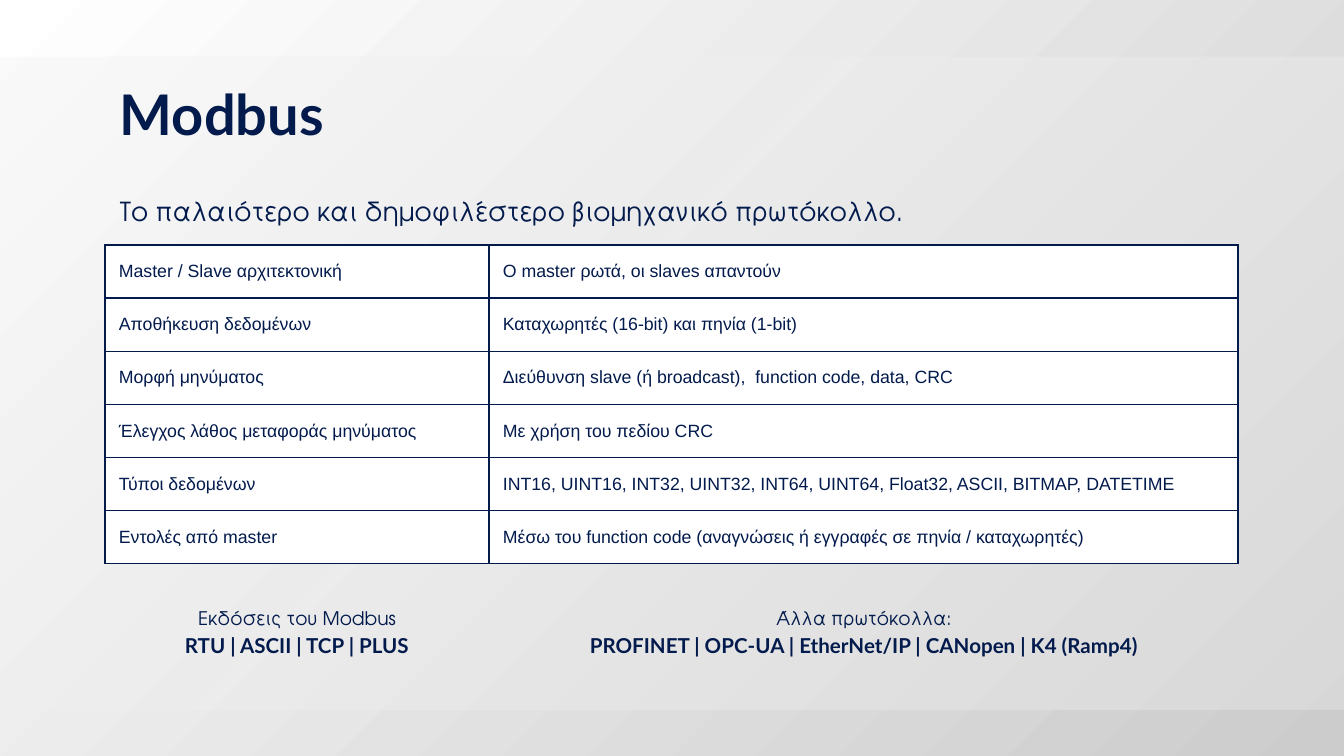
from lxml.etree import SubElement
from pptx import Presentation
from pptx.dml.color import RGBColor
from pptx.enum.shapes import MSO_SHAPE as Shape
from pptx.enum.text import MSO_ANCHOR as Anchor, PP_ALIGN as Align
from pptx.oxml import parse_xml
from pptx.oxml.ns import nsdecls, qn
from pptx.util import Emu, Pt

EMU_PER_PX = 9144000 / 1344
COLORS = {"navy": "021A4C", "white": "FFFFFF", "light": "D9D9D9", "grey": "CCCCCC"}
HEADING, BODY, CELL = "Lato", "TeX Gyre Adventor", "Arial"
INSET = 14

FEATURES = [
    ("Master / Slave αρχιτεκτονική", "Ο master ρωτά, οι slaves απαντούν"),
    ("Αποθήκευση δεδομένων", "Καταχωρητές (16-bit) και πηνία (1-bit)"),
    ("Moρφή μηνύματος", "Διεύθυνση slave (ή broadcast),  function code, data, CRC"),
    ("Έλεγχος λάθος μεταφοράς μηνύματος", "Με χρήση του πεδίου CRC"),
    ("Τύποι δεδομένων",
     "INT16, UINT16, INT32, UINT32, INT64, UINT64, Float32, ASCII, BITMAP, DATETIME"),
    ("Εντολές από master",
     "Μέσω του function code (αναγνώσεις ή εγγραφές σε πηνία / καταχωρητές)"),
]


def px(length):
    return Emu(round(length * EMU_PER_PX))


def rgb(name):
    return RGBColor.from_string(COLORS[name])


def write(paragraph, text, font=BODY, size=10, bold=False, color="navy"):
    run = paragraph.add_run()
    run.text = text
    run.font.name, run.font.size, run.font.bold = font, Pt(size), bold
    run.font.color.rgb = rgb(color)


def set_gradient(fill, start, end):
    fill.gradient()
    fill.gradient_angle = 315
    for stop, name, position in zip(fill.gradient_stops, (start, end), (0, 1)):
        stop.color.rgb = rgb(name)
        stop.position = position


def add_text_area(slide, box, align=Align.LEFT, spacing=1.0):
    area = slide.shapes.add_textbox(*map(px, box))
    frame = area.text_frame
    frame.word_wrap = True
    frame.margin_left = frame.margin_right = px(INSET)
    frame.margin_top = frame.margin_bottom = px(INSET)
    paragraph = frame.paragraphs[0]
    paragraph.alignment = align
    paragraph.line_spacing = spacing
    return paragraph


def add_backdrop(slide, box):
    set_gradient(slide.background.fill, "white", "grey")
    for start in ("light", "white"):
        veil = slide.shapes.add_shape(Shape.RECTANGLE, *map(px, box))
        veil.shadow.inherit = False
        veil.line.fill.background()
        if start == "white":
            veil.fill.solid()
            veil.fill.fore_color.rgb = rgb(start)
        else:
            set_gradient(veil.fill, start, "white")
        for color in veil._element.spPr.iter(qn("a:srgbClr")):
            SubElement(color, qn("a:alpha"), val="13000")


def add_heading(slide, box):
    left, top, width, _ = box
    title = add_text_area(slide, (left, top, width, 85))
    write(title, "Modbus", font=HEADING, size=30, bold=True)
    summary = add_text_area(slide, (left, top + 111, width, 55), spacing=1.15)
    write(summary, "Το παλαιότερο και δημοφιλέστερο βιομηχανικό πρωτόκολλο.", size=14)


def set_borders(cell):
    properties = cell._tc.get_or_add_tcPr()
    for index, side in enumerate(("lnL", "lnR", "lnT", "lnB")):
        properties.insert(index, parse_xml(
            f'<a:{side} {nsdecls("a")} w="9525"><a:solidFill>'
            f'<a:srgbClr val="{COLORS["navy"]}"/></a:solidFill></a:{side}>'))


def add_features(slide, box, label_width):
    width, height = box[2:]
    table = slide.shapes.add_table(len(FEATURES), 2, *map(px, box)).table
    table.first_row = table.horz_banding = False
    table.columns[0].width = px(label_width)
    table.columns[1].width = px(width - label_width)
    for row, texts in zip(table.rows, FEATURES):
        row.height = px(height / len(FEATURES))
        for cell, text in zip(row.cells, texts):
            cell.fill.solid()
            cell.fill.fore_color.rgb = rgb("white")
            cell.vertical_anchor = Anchor.MIDDLE
            cell.margin_left = cell.margin_right = px(INSET)
            cell.margin_top = cell.margin_bottom = 0
            set_borders(cell)
            write(cell.text_frame.paragraphs[0], text, font=CELL, size=9.5)


def add_protocols(slide, box, caption, names):
    paragraph = add_text_area(slide, box, align=Align.CENTER, spacing=1.15)
    write(paragraph, caption)
    paragraph.add_line_break()
    SubElement(paragraph._p.find(qn("a:br")), qn("a:rPr"), sz="1000")
    write(paragraph, " | ".join(names), font=HEADING, size=11, bold=True)


def main():
    deck = Presentation()
    deck.slide_width, deck.slide_height = px(1344), px(756)
    slide = deck.slides.add_slide(deck.slide_layouts[6])
    add_backdrop(slide, (0, 57, 1344, 653))
    add_heading(slide, (106, 66, 1133, 166))
    add_features(slide, (105, 245, 1133, 319), 384)
    add_protocols(slide, (105, 590, 384, 67), "Eκδόσεις του Modbus",
                  ("RTU", "ASCII", "TCP", "PLUS"))
    add_protocols(slide, (489, 590, 750, 67), "Άλλα πρωτόκολλα:",
                  ("PROFINET", "OPC-UA", "EtherNet/IP", "CANopen", "K4 (Ramp4)"))
    deck.save("out.pptx")


if __name__ == "__main__":
    main()
